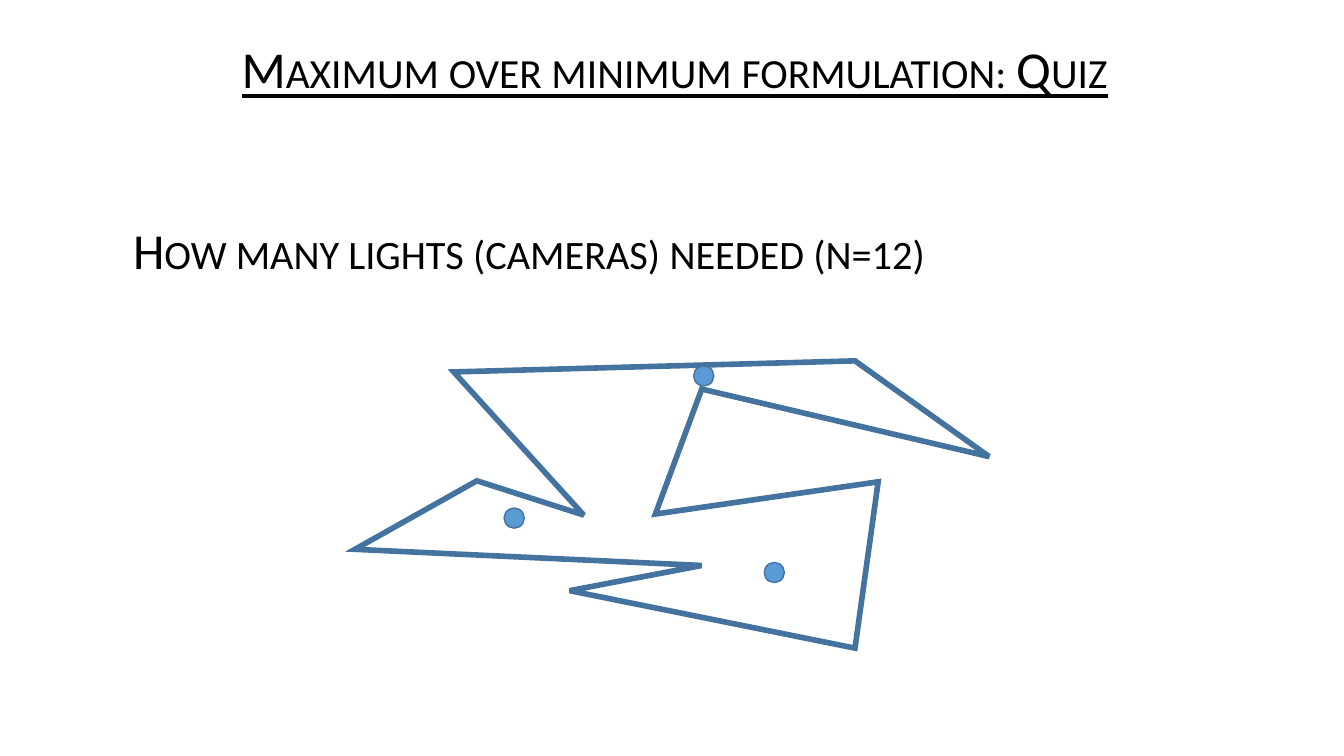
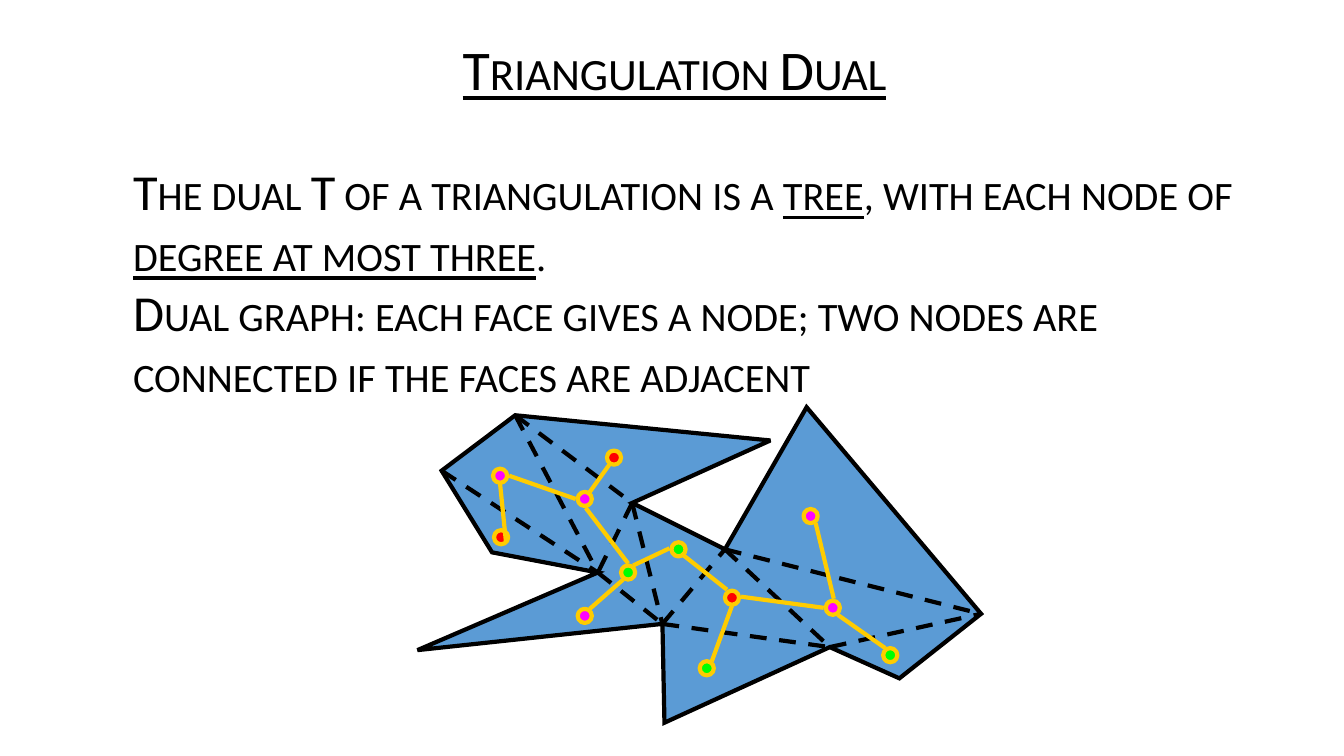
from dataclasses import dataclass

from lxml import etree
from pptx import Presentation
from pptx import util as u
from pptx.dml.color import RGBColor
from pptx.enum import dml, shapes, text
from pptx.oxml.ns import qn

PX = 9144  # EMU, 100 px to the inch


@dataclass(frozen=True)
class Theme:
    font: str = "Calibri"
    body_size: int = 36
    ink: str = "000000"
    blue: str = "5B9BD5"
    outline: str = "43739E"
    gold: str = "FFCC00"
    magenta: str = "FF00FF"
    red: str = "FF0000"
    green: str = "00FF00"


THEME = Theme()

# Corners in drawing order
GALLERY = [(450, 369), (579, 511), (473, 477), (352, 545), (696, 561), (565, 586),
           (848, 643), (871, 478), (650, 510), (696, 386), (981, 453), (848, 358)]
LIGHTS = [(510, 514), (698, 373), (768, 568)]

POLYGON = [(764, 437), (511, 412), (438, 467), (488, 548), (593, 568), (414, 645), (657, 619),
           (659, 717), (823, 642), (892, 673), (973, 609), (800, 404), (719, 545), (627, 499)]
# Pairs of corner numbers in POLYGON
DIAGONALS = [(2, 4), (1, 13), (1, 4), (4, 6), (13, 6), (13, 4),
             (6, 12), (8, 10), (12, 10), (12, 8), (6, 8)]
DUAL_NODES = {
    THEME.magenta: [(580, 611), (496, 472), (580, 495), (826, 603), (804, 512)],
    THEME.red: [(497, 533), (609, 454), (726, 593)],
    THEME.green: [(883, 650), (701, 663), (673, 545), (623, 568)],
}
DUAL_EDGES = [((505, 472), (571, 495)), ((585, 488), (605, 460)), ((581, 504), (623, 559)),
              ((496, 480), (502, 539)), ((628, 561), (664, 544)), ((618, 575), (585, 604)),
              ((726, 601), (706, 656)), ((678, 551), (721, 585)), ((735, 592), (817, 603)),
              ((827, 594), (809, 519)), ((878, 643), (831, 610))]


def set_line(line, color, width):
    line.color.rgb = RGBColor.from_string(color)
    line.width = u.Pt(width)


def style_shape(shape, fill, color, width):
    shape.shadow.inherit = False
    if fill:
        shape.fill.solid()
        shape.fill.fore_color.rgb = RGBColor.from_string(fill)
    else:
        shape.fill.background()
    set_line(shape.line, color, width)


def add_text(slide, box, paragraphs, size):
    """Adds small-caps text; each paragraph is a list of (words, underlined) pairs."""
    frame = slide.shapes.add_textbox(*(n * PX for n in box)).text_frame
    frame.word_wrap = True
    frame.margin_left = frame.margin_right = 0
    frame.margin_top = frame.margin_bottom = 0
    for index, parts in enumerate(paragraphs):
        paragraph = frame.add_paragraph() if index else frame.paragraphs[0]
        for words, underlined in parts:
            run = paragraph.add_run()
            run.text = words
            run.font.name = THEME.font
            run.font.size = u.Pt(size)
            run.font.underline = underlined
            run.font.color.rgb = RGBColor.from_string(THEME.ink)
            run.font._element.set("cap", "small")
    return frame


def add_title(slide, title, size):
    frame = add_text(slide, (177, 29, 984, 85), [[(title, True)]], size)
    frame.vertical_anchor = text.MSO_ANCHOR.MIDDLE
    paragraph = frame.paragraphs[0]
    paragraph.alignment = text.PP_ALIGN.CENTER
    paragraph.line_spacing = 0.9
    paragraph.space_before = u.Pt(10)


def add_body(slide, top, paragraphs):
    add_text(slide, (132, top, 1119, 660 - top), paragraphs, THEME.body_size)


def add_polygon(slide, corners, fill, color, width):
    builder = slide.shapes.build_freeform(*corners[0], scale=PX)
    builder.add_line_segments(corners[1:], close=True)
    shape = builder.convert_to_shape()
    style_shape(shape, fill, color, width)
    miter = etree.SubElement(shape.line._get_or_add_ln(), qn("a:miter"))
    miter.set("lim", "800000")


def add_dot(slide, center, diameter, fill, color, width):
    x, y = (n - diameter // 2 for n in center)
    shape = slide.shapes.add_shape(shapes.MSO_SHAPE.OVAL, x * PX, y * PX,
                                   diameter * PX, diameter * PX)
    style_shape(shape, fill, color, width)


def add_segment(slide, start, end, color, dashed=False):
    connector = slide.shapes.add_connector(shapes.MSO_CONNECTOR.STRAIGHT,
                                           *(n * PX for n in (*start, *end)))
    set_line(connector.line, color, 3)
    if dashed:
        connector.line.dash_style = dml.MSO_LINE.DASH
    etree.SubElement(connector._element.spPr, qn("a:effectLst"))


def build_quiz(slide):
    add_body(slide, 217, [[("How many lights (cameras) needed (n=12)", False)]])
    add_title(slide, "Maximum over minimum formulation: Quiz", 37)
    add_polygon(slide, GALLERY, None, THEME.outline, 4)
    for center in LIGHTS:
        add_dot(slide, center, 20, THEME.blue, THEME.outline, 1)


def build_dual(slide):
    add_body(slide, 159, [
        [("The dual T of a triangulation is a ", False), ("tree", True),
         (", with each node of ", False), ("degree at most three", True), (".", False)],
        [("Dual graph: each face gives a node; two nodes are connected "
          "if the faces are adjacent", False)],
    ])
    add_title(slide, "Triangulation Dual", 40)
    add_polygon(slide, POLYGON, THEME.blue, THEME.ink, 3)
    for first, second in DIAGONALS:
        add_segment(slide, POLYGON[first], POLYGON[second], THEME.ink, dashed=True)
    for fill, centers in DUAL_NODES.items():
        for center in centers:
            add_dot(slide, center, 14, fill, THEME.gold, 3)
    for start, end in DUAL_EDGES:
        add_segment(slide, start, end, THEME.gold)


def main():
    presentation = Presentation()
    presentation.slide_width = 1333 * PX
    presentation.slide_height = 750 * PX
    blank = presentation.slide_layouts[6]
    for build in (build_quiz, build_dual):
        build(presentation.slides.add_slide(blank))
    presentation.save("out.pptx")


if __name__ == "__main__":
    main()
